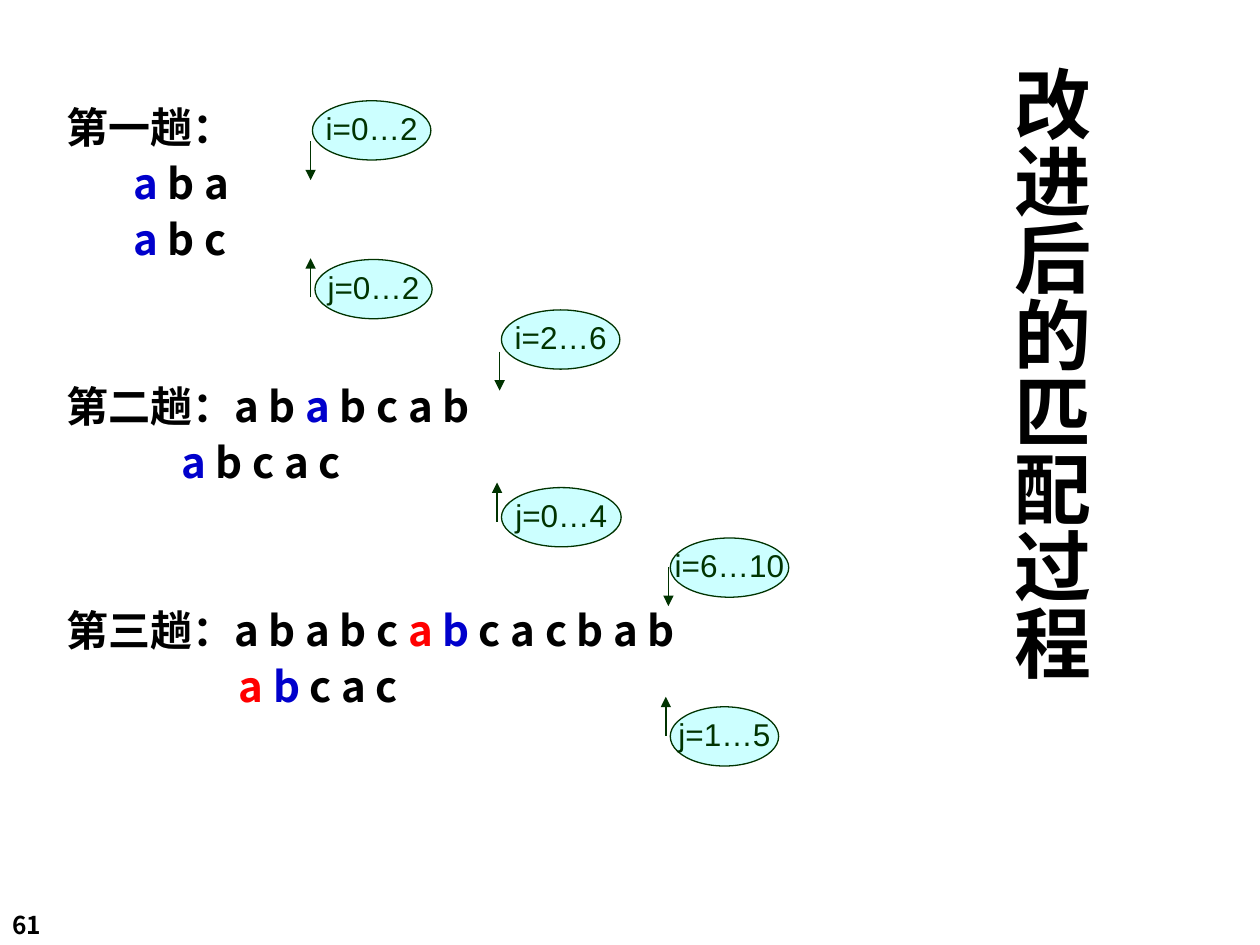
from pptx import Presentation
from pptx.dml.color import RGBColor
from pptx.enum.shapes import MSO_CONNECTOR, MSO_SHAPE
from pptx.enum.text import MSO_ANCHOR, MSO_AUTO_SIZE, PP_ALIGN
from pptx.oxml.ns import qn
from pptx.util import Inches, Pt
from lxml import etree

STRAIGHT = MSO_CONNECTOR.STRAIGHT
OVAL = MSO_SHAPE.OVAL
TOP, MIDDLE = MSO_ANCHOR.TOP, MSO_ANCHOR.MIDDLE
GROW = MSO_AUTO_SIZE.SHAPE_TO_FIT_TEXT
LEFT, CENTER = PP_ALIGN.LEFT, PP_ALIGN.CENTER

BLACK = RGBColor(0x00, 0x00, 0x00)
BLUE = RGBColor(0x00, 0x00, 0xCC)
RED = RGBColor(0xFF, 0x00, 0x00)
GREEN = RGBColor(0x00, 0x33, 0x00)
CYAN = RGBColor(0xCC, 0xFF, 0xFF)

COLS, ROWS = 100, 75
TEXT_FONT, LABEL_FONT = "Noto Sans CJK SC", "Arial"
LINE_SPACING = 0.9
LINE_GAP, PASS_GAP = Pt(6), Pt(70)
INDENT_STEP = 0.76  # columns per character of indent
BUBBLE_HEIGHT, ARROW_LENGTH = 4.7, 3.1
DOWN, UP = 1, -1
ARROW_GAP = {DOWN: 0.15, UP: 0.35}

# Each pass: lines of (indent in characters, coloured runs)
PASSES = [
    [(0, [("第一趟：", BLACK)]),
     (7, [("a", BLUE), (" b a", BLACK)]),
     (7, [("a", BLUE), (" b c", BLACK)])],
    [(0, [("第二趟：a b ", BLACK), ("a", BLUE), (" b c a b", BLACK)]),
     (12, [("a", BLUE), (" b c a c", BLACK)])],
    [(0, [("第三趟：a b a b c ", BLACK), ("a ", RED), ("b ", BLUE),
          ("c a c b a b", BLACK)]),
     (18, [("a ", RED), ("b", BLUE), (" c a c", BLACK)])],
]

# Index bubbles: label, left, top, width, arrow start below the top, direction
BUBBLES = [
    ("i=0…2", 24.8, 8.0, 9.4, 3.2, DOWN),
    ("j=0…2", 25.0, 20.6, 9.3, 3.0, UP),
    ("i=2…6", 39.8, 24.6, 9.4, 3.3, DOWN),
    ("j=0…4", 39.8, 38.7, 9.5, 2.7, UP),
    ("i=6…10", 53.2, 42.7, 9.4, 2.3, DOWN),
    ("j=1…5", 53.2, 56.1, 8.6, 2.3, UP),
]


class Deck:
    """Holds the presentation, its current slide and the shared style."""

    def __init__(self):
        self.prs = Presentation()
        self.prs.slide_width, self.prs.slide_height = Inches(10), Inches(7.5)
        self.s = self.prs.slides.add_slide(self.prs.slide_layouts[5])

    def x(self, cols):
        return round(self.prs.slide_width * cols / COLS)

    def y(self, rows):
        return round(self.prs.slide_height * rows / ROWS)

    def box(self, left, top, width, height):
        return self.x(left), self.y(top), self.x(width), self.y(height)

    def font(self, p, size, color=None, name=TEXT_FONT, bold=True):
        """Style a paragraph, East Asian characters included."""
        p.font.size, p.font.name, p.font.bold = Pt(size), name, bold
        if color is not None:
            p.font.color.rgb = color
        for r in p.runs:
            props = r._r.get_or_add_rPr()
            etree.SubElement(props, qn("a:ea")).set("typeface", name)

    def vertical_title(self, text, *box):
        sp = self.s.shapes.title
        sp.left, sp.top, sp.width, sp.height = self.box(*box)
        tf = sp.text_frame
        tf.text = text
        tf.auto_size, tf.vertical_anchor = GROW, TOP
        tf.margin_left = tf.margin_right = self.x(0.5)
        tf.margin_top = tf.margin_bottom = self.y(1)
        tf._txBody.bodyPr.set("vert", "eaVert")
        p = tf.paragraphs[0]
        p.alignment, p.line_spacing = CENTER, LINE_SPACING
        self.font(p, 44, BLACK)

    def text_box(self, *box):
        tf = self.s.shapes.add_textbox(*self.box(*box)).text_frame
        tf.word_wrap = True
        return tf

    def page_number(self, text, *box):
        p = self.text_box(*box).paragraphs[0]
        p.text, p.alignment = text, LEFT
        self.font(p, 14, BLACK)

    def passes(self, passes, *box):
        tf = self.text_box(*box)
        p = None
        for lines in passes:
            for number, (indent, runs) in enumerate(lines):
                if p is None:
                    p = tf.paragraphs[0]
                else:
                    p = tf.add_paragraph()
                    p.space_before = LINE_GAP if number else PASS_GAP
                p.line_spacing = LINE_SPACING
                if indent:
                    margin = self.x(indent * INDENT_STEP)
                    p._p.get_or_add_pPr().set("marL", str(margin))
                for text, color in runs:
                    r = p.add_run()
                    r.text = text
                    r.font.color.rgb = color
                self.font(p, 24)

    def arrow(self, x, start, end):
        line = self.s.shapes.add_connector(
            STRAIGHT, self.x(x), self.y(start), self.x(x), self.y(end))
        line.line.color.rgb, line.line.width = GREEN, Pt(0.75)
        ln = line.line._get_or_add_ln()
        etree.SubElement(ln, qn("a:tailEnd")).set("type", "triangle")
        etree.SubElement(line._element.spPr, qn("a:effectLst"))

    def bubble(self, label, left, top, width, offset, direction):
        """Draw an index range with the arrow beside it."""
        start = top + offset
        self.arrow(left - ARROW_GAP[direction], start,
                   start + direction * ARROW_LENGTH)
        sp = self.s.shapes.add_shape(
            OVAL, *self.box(left, top, width, BUBBLE_HEIGHT))
        sp.shadow.inherit = False
        sp.fill.solid()
        sp.fill.fore_color.rgb = CYAN
        sp.line.color.rgb, sp.line.width = GREEN, Pt(0.75)
        tf = sp.text_frame
        tf.word_wrap, tf.vertical_anchor = False, MIDDLE
        p = tf.paragraphs[0]
        p.text, p.alignment, p.line_spacing = label, CENTER, LINE_SPACING
        self.font(p, 18, GREEN, LABEL_FONT, False)


def main():
    deck = Deck()
    deck.page_number("61", 0, 71.7, 8.3, 3.4)
    deck.passes(PASSES, 4.3, 8, 91.4, 66.1)
    for bubble in BUBBLES:
        deck.bubble(*bubble)
    deck.vertical_title("改进后的匹配过程", 78.1, 4.2, 8.6, 60.8)
    deck.prs.save("out.pptx")


if __name__ == "__main__":
    main()
